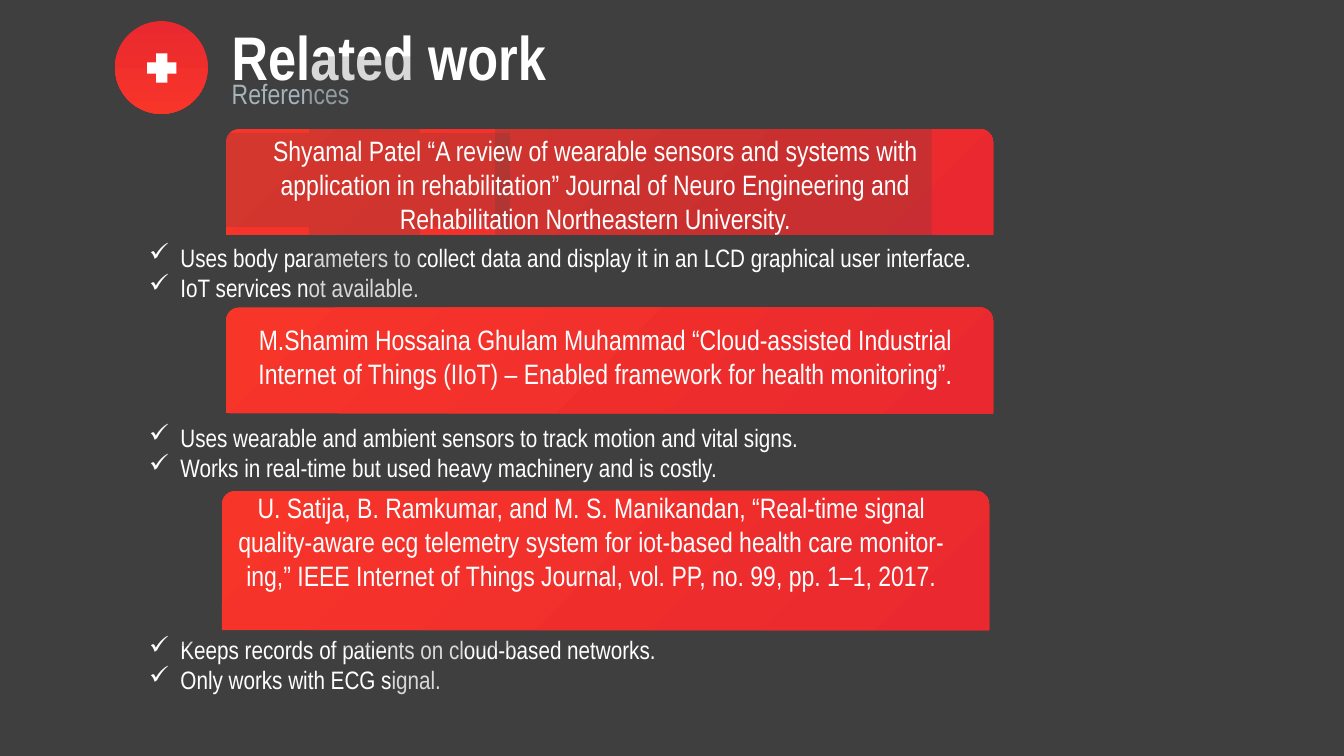
from lxml import etree
from pptx import Presentation
from pptx.dml.color import RGBColor
from pptx.enum.shapes import MSO_SHAPE
from pptx.enum.text import MSO_ANCHOR, PP_ALIGN
from pptx.oxml import parse_xml
from pptx.oxml.ns import nsdecls, qn
from pptx.util import Inches, Pt

CARD_SHAPE = MSO_SHAPE.ROUND_2_SAME_RECTANGLE
OVAL = MSO_SHAPE.OVAL
TOP, MIDDLE = MSO_ANCHOR.TOP, MSO_ANCHOR.MIDDLE
LEFT, CENTER = PP_ALIGN.LEFT, PP_ALIGN.CENTER

DARK = RGBColor(0x3F, 0x3F, 0x3F)
WHITE = RGBColor(0xFF, 0xFF, 0xFF)
GRAY = RGBColor(0xA5, 0xB4, 0xBB)
RED = RGBColor(0xE9, 0x29, 0x2F)
ORANGE = RGBColor(0xF8, 0x35, 0x29)

FONT = "Arial Narrow"
TITLE = {"name": FONT, "size": Pt(44), "bold": True}
BODY = {"name": FONT, "size": Pt(20)}
POINT = {"name": FONT, "size": Pt(18)}

HEADINGS = [
    ("Related work", (2.2, 0.13, 5.09, 0.84), TITLE, WHITE),
    ("References", (2.2, 0.79, 5.09, 0.28), BODY, GRAY),
]
REFERENCES = [
    {
        "card": (2.24, 1.28, 7.61, 1.05),
        "text": (2.1, 1.28, 7.61, 1.11),
        "citation": "Shyamal Patel “A review of wearable sensors and systems with "
                    "application in rehabilitation” Journal of Neuro Engineering and "
                    "Rehabilitation Northeastern University.",
        "points_top": 2.4,
        "points": ["Uses body parameters to collect data and display it in an LCD "
                   "graphical user interface.",
                   "IoT services not available."],
    },
    {
        "card": (2.24, 3.05, 7.61, 1.05),
        "text": (2.2, 3.15, 7.61, 0.77),
        "citation": "M.Shamim Hossaina Ghulam Muhammad “Cloud-assisted Industrial "
                    "Internet of Things (IIoT) – Enabled framework for health monitoring”.",
        "points_top": 4.19,
        "points": ["Uses wearable and ambient sensors to track motion and vital signs.",
                   "Works in real-time but used heavy machinery and is costly."],
    },
    {
        "card": (2.2, 4.87, 7.61, 1.38),
        "text": (2.06, 4.82, 7.61, 1.45),
        "citation": "U. Satija, B. Ramkumar, and M. S. Manikandan, “Real-time signal "
                    "quality-aware ecg telemetry system for iot-based health care monitor- "
                    "ing,” IEEE Internet of Things Journal, vol. PP, no. 99, pp. 1–1, 2017.",
        "points_top": 6.29,
        "points": ["Keeps records of patients on cloud-based networks.",
                   "Only works with ECG signal."],
    },
]
LARGE_CROSS = (1.38, 1.13, 11.39, 6.37)
SMALL_CROSSES = [
    (2.17, 0.56, 2.89, 2.45),
    (7.08, 4.48, 2.07, 1.75),
    (3.32, 5.35, 1.85, 1.57),
    (10.38, 5.59, 0.88, 0.75),
    (1.49, 5.62, 0.94, 0.79),
]
BADGE = (1.14, 0.21, 0.92, 0.92)
BADGE_CROSS = (1.46, 0.53, 0.29, 0.29)
ARM_INSET = 0.31
POINTS_LEFT, POINTS_WIDTH, POINTS_HEIGHT = 1.48, 11.19, 0.62
POINT_INDENT = Inches(0.31)

deck = Presentation()
deck.slide_width, deck.slide_height = Inches(13.33), Inches(7.5)
page = deck.slides.add_slide(deck.slide_layouts[6])
page.background.fill.solid()
page.background.fill.fore_color.rgb = DARK


def add_text(lines, place, style, color, align=LEFT, anchor=TOP, check=False):
    box = page.shapes.add_textbox(*map(Inches, place))
    frame = box.text_frame
    frame.word_wrap = True
    frame.vertical_anchor = anchor
    if check:
        frame.margin_left = frame.margin_top = frame.margin_bottom = 0
    for index, line in enumerate(lines):
        para = frame.paragraphs[0] if index == 0 else frame.add_paragraph()
        para.alignment = align
        if check:
            properties = para._p.get_or_add_pPr()
            properties.set("marL", str(POINT_INDENT))
            properties.set("indent", str(-POINT_INDENT))
            etree.SubElement(properties, qn("a:buChar")).set("char", "✓")
        span = para.add_run()
        span.text = line
        for key, value in style.items():
            setattr(span.font, key, value)
        span.font.color.rgb = color


def add_gradient_shape(kind, place):
    shape = page.shapes.add_shape(kind, *map(Inches, place))
    shape.shadow.inherit = False
    shape.line.fill.background()
    shape.fill.gradient()
    shape.fill.gradient_angle = 270
    for stop, color, position in zip(shape.fill.gradient_stops, (RED, ORANGE), (0, 1)):
        stop.color.rgb = color
        stop.position = position
    return shape


def add_card(place):
    card = add_gradient_shape(CARD_SHAPE, place)
    card.adjustments[0] = 0.13 / place[3]
    linear = card._element.spPr.find(qn("a:gradFill")).find(qn("a:lin"))
    radial = parse_xml(f'<a:path {nsdecls("a")} path="circle">'
                       '<a:fillToRect l="100000" t="100000"/></a:path>')
    linear.getparent().replace(linear, radial)


def add_cross(place, color, opacity=None):
    left, top, width, height = place
    near, far = ARM_INSET, 1 - ARM_INSET
    corners = [(far, 0), (near, 0), (near, near), (0, near), (0, far), (near, far),
               (near, 1), (far, 1), (far, far), (1, far), (1, near), (far, near)]
    points = [(Inches(left + x * width), Inches(top + y * height)) for x, y in corners]
    builder = page.shapes.build_freeform(*points[0])
    builder.add_line_segments(points[1:], close=True)
    cross = builder.convert_to_shape()
    cross.shadow.inherit = False
    cross.line.fill.background()
    cross.fill.solid()
    cross.fill.fore_color.rgb = color
    if opacity is not None:
        tint = cross._element.spPr.find(qn("a:solidFill"))[0]
        etree.SubElement(tint, qn("a:alpha")).set("val", str(opacity * 1000))


def add_citation(reference):
    add_text([reference["citation"]], reference["text"], BODY, WHITE, align=CENTER)


for text, place, style, color in HEADINGS:
    add_text([text], place, style, color, anchor=MIDDLE)

first, *others = REFERENCES
add_card(first["card"])
add_cross(LARGE_CROSS, DARK, 20)
for reference in REFERENCES:
    place = (POINTS_LEFT, reference["points_top"], POINTS_WIDTH, POINTS_HEIGHT)
    add_text(reference["points"], place, POINT, WHITE, check=True)
for place in SMALL_CROSSES:
    add_cross(place, DARK, 20)
add_citation(first)

add_gradient_shape(OVAL, BADGE)
add_cross(BADGE_CROSS, WHITE)

for reference in others:
    add_card(reference["card"])
    add_citation(reference)

deck.save("out.pptx")
